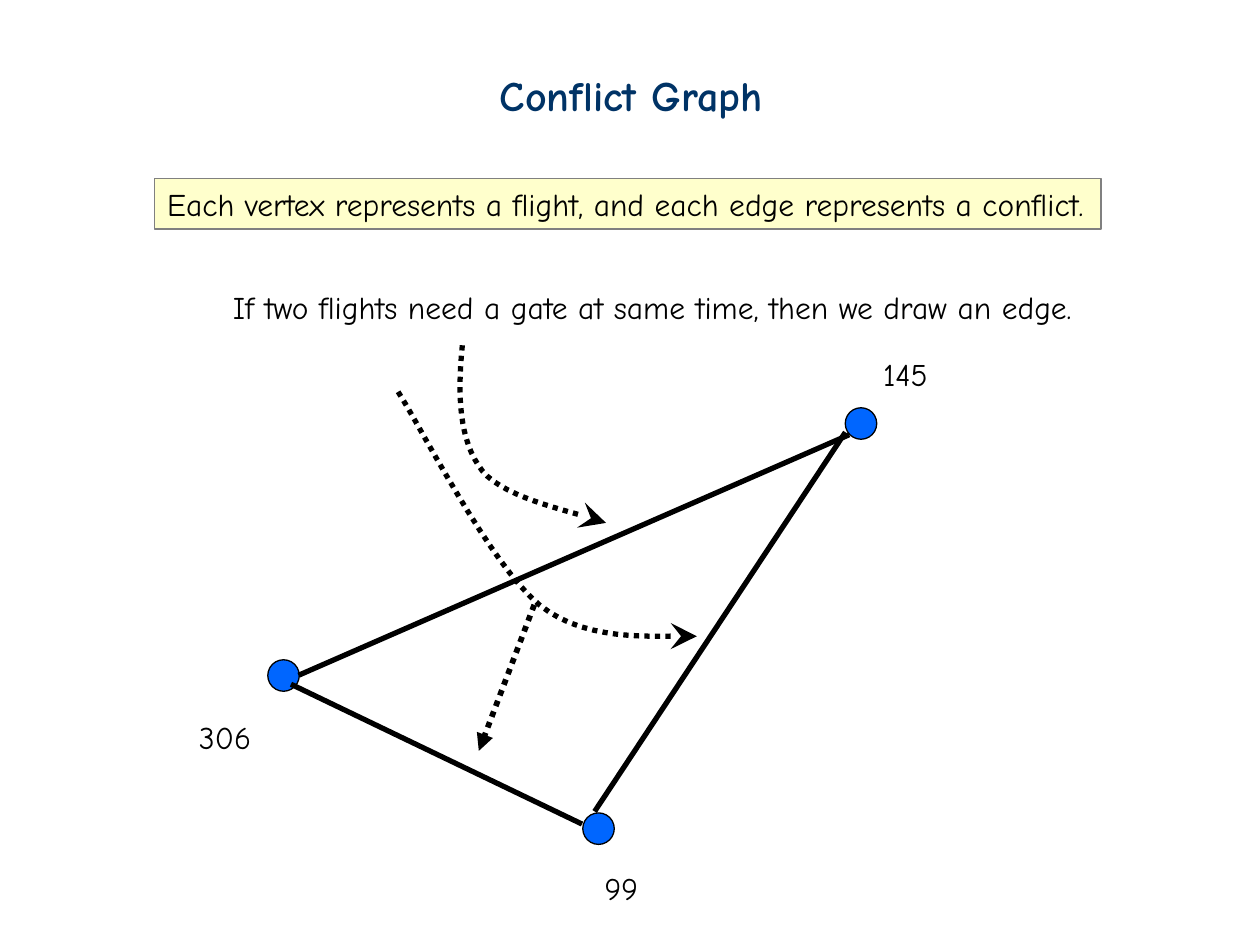
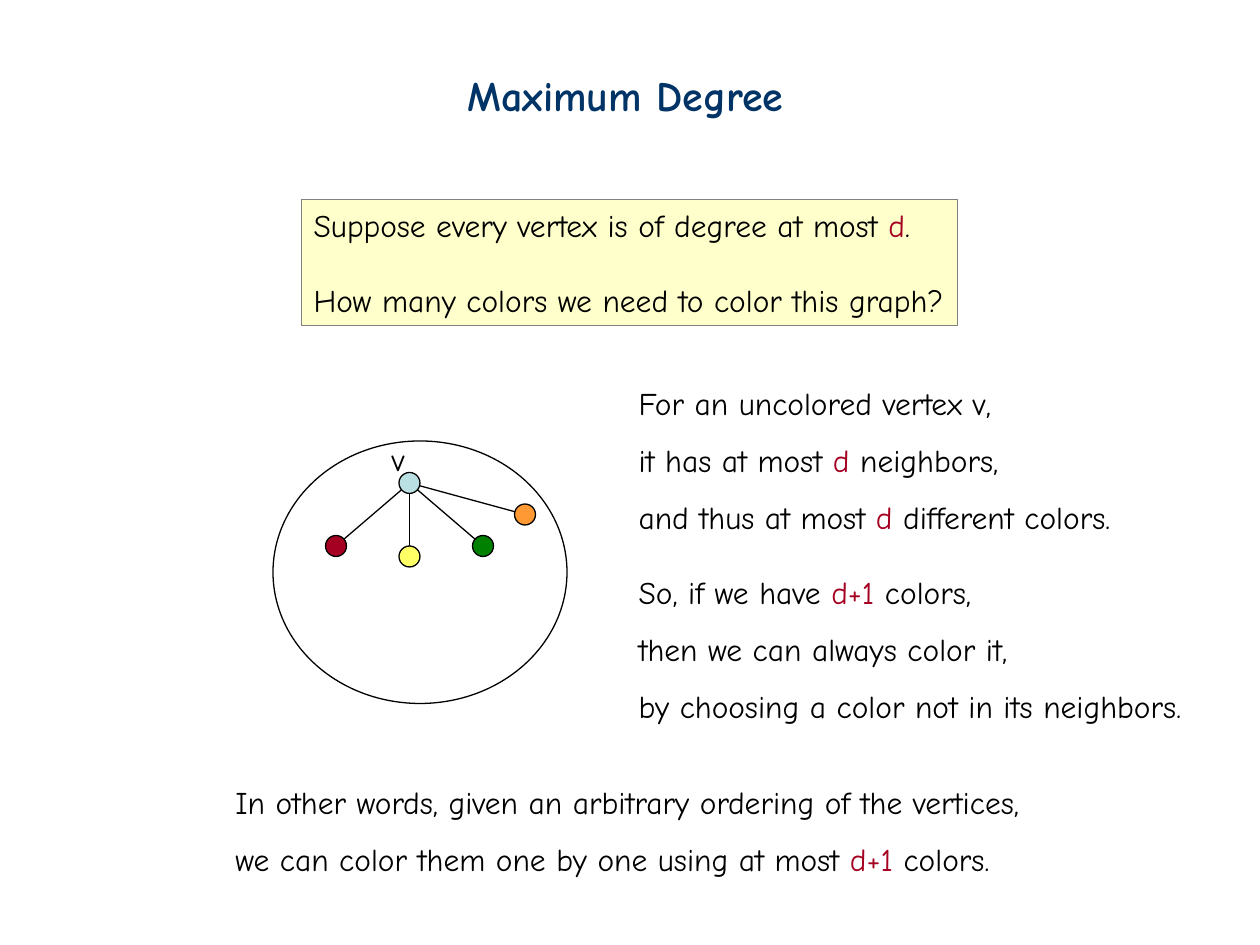
from pptx import Presentation
from pptx.dml.color import RGBColor
from pptx.enum.dml import MSO_LINE
from pptx.enum.shapes import MSO_CONNECTOR, MSO_SHAPE
from pptx.enum.text import MSO_ANCHOR, MSO_AUTO_SIZE, PP_ALIGN
from pptx.oxml.ns import qn
from pptx.util import Pt
from lxml.etree import SubElement

FONT = "Comic Neue"
TEXT_LINE = 21.6
BLACK = RGBColor(0x00, 0x00, 0x00)
NAVY = RGBColor(0x00, 0x33, 0x66)
CRIMSON = RGBColor(0xA5, 0x00, 0x21)
PANEL_FILL = RGBColor(0xFF, 0xFF, 0xCC)
PANEL_LINE = RGBColor(0x80, 0x80, 0x80)
BLUE = RGBColor(0x00, 0x66, 0xFF)
YELLOW = RGBColor(0xFF, 0xFF, 0x66)
GREEN = RGBColor(0x00, 0x80, 0x00)
ORANGE = RGBColor(0xFF, 0x99, 0x33)
PALE_BLUE = RGBColor(0xBB, 0xE0, 0xE3)


# Text: words between asterisks are crimson
def write(shape, lines, size=18, color=BLACK, bold=False):
    """Each line is its words, or (words, line spacing, space before)."""
    frame = shape.text_frame
    frame.word_wrap = False
    frame.auto_size = MSO_AUTO_SIZE.SHAPE_TO_FIT_TEXT
    frame.vertical_anchor = MSO_ANCHOR.TOP
    for index, line in enumerate(lines):
        words, spacing, before = (line, 1.0, 0) if isinstance(line, str) else line
        paragraph = frame.add_paragraph() if index else frame.paragraphs[0]
        paragraph.alignment = PP_ALIGN.LEFT
        paragraph.line_spacing = spacing
        if before:
            paragraph.space_before = Pt(before)
        paragraph.font.name = FONT
        paragraph.font.size = Pt(size)
        paragraph.font.bold = bold
        paragraph.font.color.rgb = color
        for position, piece in enumerate(words.split("*")):
            if piece:
                run = paragraph.add_run()
                run.text = piece
                if position % 2:
                    run.font.color.rgb = CRIMSON


def add_text(slide, left, top, width, height, lines, **style):
    box = slide.shapes.add_textbox(Pt(left), Pt(top), Pt(width), Pt(height))
    write(box, lines, **style)


def add_title(slide, left, width, words):
    add_text(slide, left, 36, width, 36, [words], size=24, color=NAVY, bold=True)


# Lines and outlined shapes
def set_line(shape, width, color=BLACK, dotted=False, arrow=None, arrow_size="med"):
    shape.line.color.rgb = color
    shape.line.width = Pt(width)
    if dotted:
        shape.line.dash_style = MSO_LINE.ROUND_DOT
    if arrow:
        outline = shape.element.spPr.find(qn("a:ln"))
        SubElement(outline, qn("a:tailEnd"), type=arrow, w=arrow_size, len=arrow_size)


def add_shape(slide, kind, left, top, width, height, fill=None, line=BLACK):
    shape = slide.shapes.add_shape(kind, Pt(left), Pt(top), Pt(width), Pt(height))
    shape.shadow.inherit = False
    if fill is None:
        shape.fill.background()
    else:
        shape.fill.solid()
        shape.fill.fore_color.rgb = fill
    set_line(shape, 0.75, line)
    return shape


def add_panel(slide, left, top, width, height, lines):
    panel = add_shape(slide, MSO_SHAPE.RECTANGLE, left, top, width, height,
                      PANEL_FILL, PANEL_LINE)
    write(panel, lines)


def add_vertex(slide, x, y, size, fill):
    add_shape(slide, MSO_SHAPE.OVAL, x - size / 2, y - size / 2, size, size, fill)


def add_edge(slide, start, end, width, **style):
    ends = [Pt(value) for value in (*start, *end)]
    edge = slide.shapes.add_connector(MSO_CONNECTOR.STRAIGHT, *ends)
    set_line(edge, width, **style)
    SubElement(edge.element.spPr, qn("a:effectLst"))


def bezier(points, t):
    """Point at t on the cubic curve with four control points."""
    weights = ((1 - t) ** 3, 3 * t * (1 - t) ** 2, 3 * t * t * (1 - t), t ** 3)
    return tuple(Pt(sum(weight * point[axis] for weight, point in zip(weights, points)))
                 for axis in (0, 1))


def add_curved_arrow(slide, left, top, points, steps=16):
    placed = [(left + x, top + y) for x, y in points]
    builder = slide.shapes.build_freeform(Pt(placed[0][0]), Pt(placed[0][1]))
    for first in range(0, len(placed) - 1, 3):
        section = placed[first:first + 4]
        builder.add_line_segments(
            [bezier(section, step / steps) for step in range(1, steps + 1)], close=False)
    curve = builder.convert_to_shape()
    curve.fill.background()
    curve.shadow.inherit = False
    set_line(curve, 3, dotted=True, arrow="stealth", arrow_size="lg")


# Flights as vertices, conflicts as edges
def draw_conflict_graph(slide, left, top):
    def at(x, y):
        return left + x, top + y

    for x, y in ((56, 226), (386, 82), (236, 313.5)):
        add_vertex(slide, *at(x, y), 18, BLUE)
    for flight, x, y, width in (("99", 232.4, 333.2, 38), ("145", 391.5, 39.4, 46),
                                ("306", 0.6, 246.8, 46)):
        add_text(slide, *at(x, y), width, 28.8, [flight])
    add_text(slide, *at(20, 0.8), 495.4, 28.8,
             ["If two flights need a gate at same time, then we draw an edge."])
    for start, end in (((64.6, 225.9), (379.3, 88.4)),
                       ((233.8, 303.7), (377.1, 87)),
                       ((60.3, 231), (226.6, 310.9))):
        add_edge(slide, at(*start), at(*end), 3)

    # Dotted arrows from the sentence to the edges
    add_curved_arrow(slide, left, top, [
        (158.2, 37.3), (155.4, 65.4), (156.1, 92), (169.8, 109.3),
        (183.4, 125.8), (225.2, 133), (240.3, 138.8)])
    add_curved_arrow(slide, left, top, [
        (121.5, 63.9), (134.5, 84.1), (174.1, 162.6), (202.2, 185.6),
        (231, 209.4), (277, 202.2), (292.2, 203.6)])
    add_edge(slide, at(199.3, 185.6), at(167.6, 269.1), 3.25,
             dotted=True, arrow="triangle")


# Vertex v and its coloured neighbours inside the graph's outline
def draw_neighborhood(slide, left, top):
    add_shape(slide, MSO_SHAPE.OVAL, left, top, 168, 150)
    center = (left + 78, top + 24)
    neighbors = [(left + x, top + y, color) for x, y, color in (
        (36, 60, CRIMSON), (78, 66, YELLOW), (120, 60, GREEN), (144, 42, ORANGE))]
    for x, y, _ in neighbors:
        add_edge(slide, center, (x, y), 0.75)
    for x, y, color in neighbors:
        add_vertex(slide, x, y, 12, color)
    add_vertex(slide, *center, 12, PALE_BLUE)
    add_text(slide, left + 60.7, top - 4.3, 21.6, 28.8, ["v"])


def build_conflict_slide(slide):
    add_title(slide, 278.6, 164.9, "Conflict Graph")
    draw_conflict_graph(slide, 106, 160)
    add_panel(slide, 88.4, 102.2, 540.7, 28.8,
              ["Each vertex represents a flight, and each edge represents a conflict."])


def build_degree_slide(slide):
    add_title(slide, 259.9, 195.8, "Maximum Degree")
    add_panel(slide, 172.1, 114, 375.1, 72, [
        "Suppose every vertex is of degree at most *d*.",
        ("How many colors we need to color this graph?", 1.0, TEXT_LINE)])
    draw_neighborhood(slide, 156, 252)

    # Argument beside and below the drawing
    add_text(slide, 357.8, 216, 324.7, 201.6, [
        "For an uncolored vertex v,",
        ("it has at most *d* neighbors,", 1.5, 0),
        ("and thus at most *d* different colors.", 1.5, 0),
        ("So, if we have *d+1* colors,", 1.0, TEXT_LINE),
        ("then we can always color it,", 1.5, 0),
        ("by choosing a color not in its neighbors.", 1.5, 0)])
    add_text(slide, 127.4, 444, 465.1, 61.2, [
        "In other words, given an arbitrary ordering of the vertices,",
        ("we can color them one by one using at most *d+1* colors.", 1.5, 0)])


def main():
    presentation = Presentation()
    presentation.slide_width, presentation.slide_height = Pt(720), Pt(540)
    blank = presentation.slide_layouts[6]
    for build in (build_conflict_slide, build_degree_slide):
        build(presentation.slides.add_slide(blank))
    presentation.save("out.pptx")


if __name__ == "__main__":
    main()
